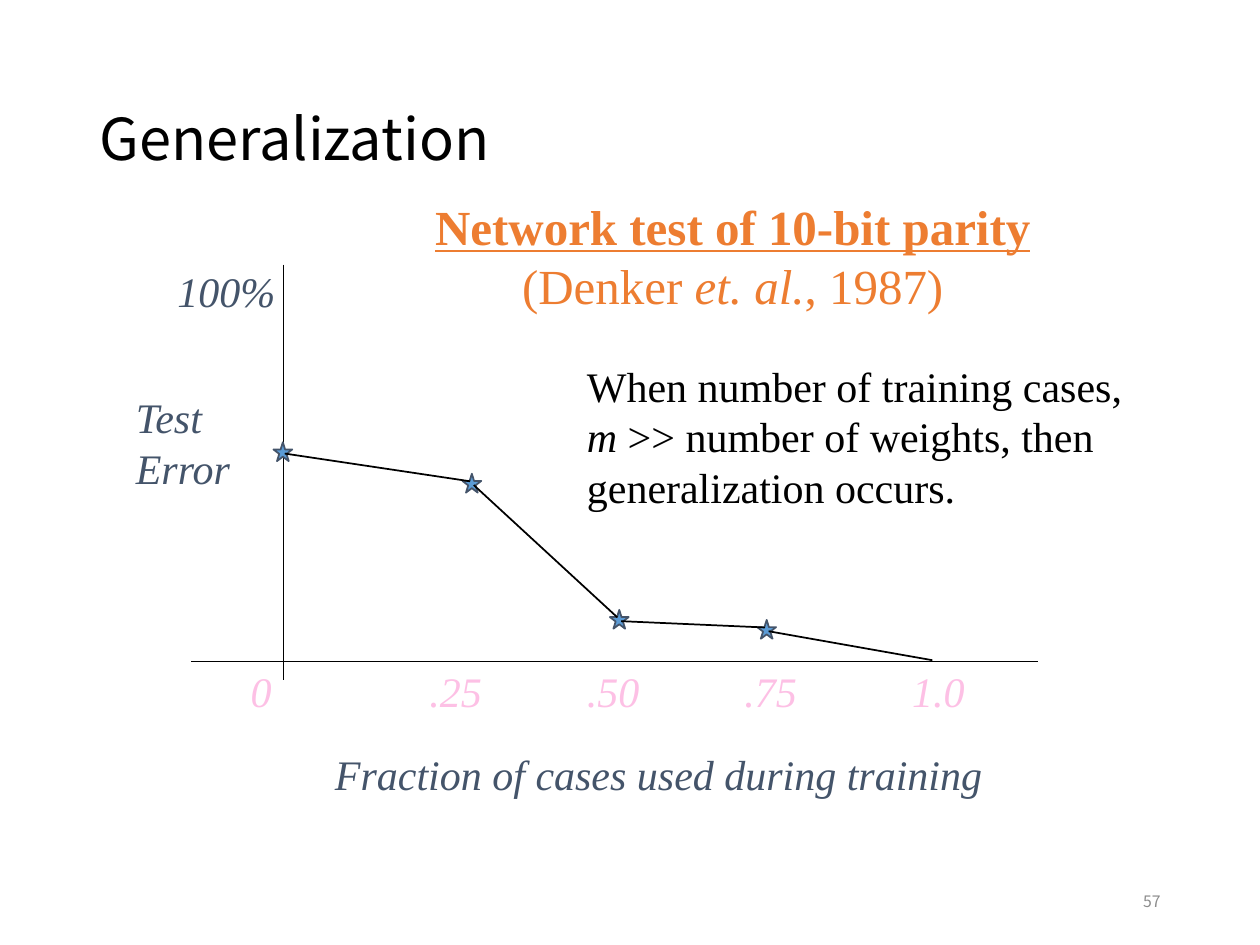
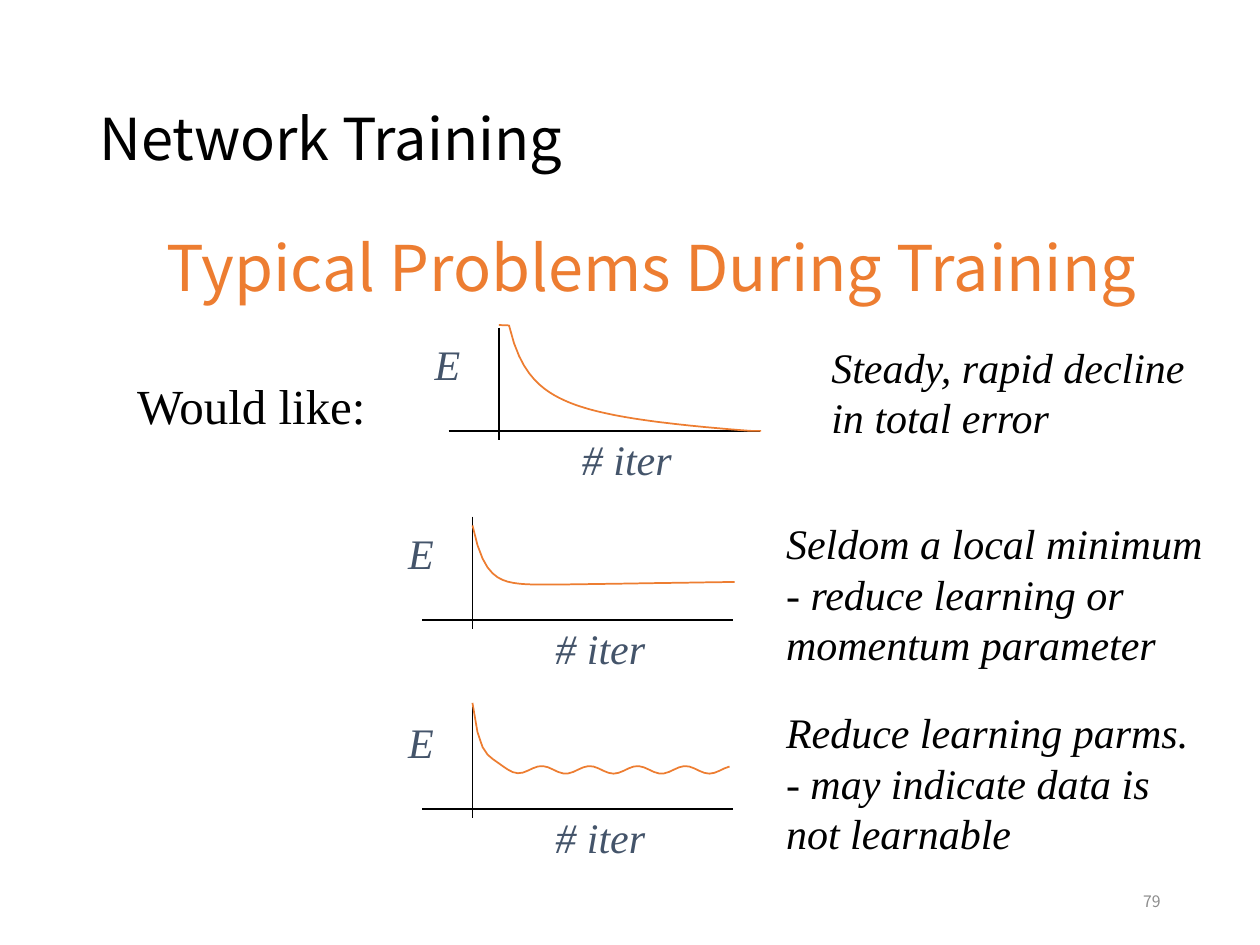
import math

import pptx
import pptx.dml.color
import pptx.enum.shapes
import pptx.enum.text
import pptx.oxml.ns
import pptx.util
from lxml import etree

Inches, Pt = pptx.util.Inches, pptx.util.Pt
RGB = pptx.dml.color.RGBColor.from_string
ALIGN = pptx.enum.text.PP_ALIGN
ANCHOR = pptx.enum.text.MSO_ANCHOR

COLORS = {"black": "000000", "slate": "44546A", "orange": "ED7D31",
          "pink": "FDC0E5", "blue": "5B9BD5", "gray": "8C8C8C"}
SANS, SERIF = "Noto Sans CJK KR", "Times New Roman"
LINE_WIDTH = Pt(1)
ROW_HEIGHT = 0.51  # a text box with one line at 24 points


def add_text(slide, box, paragraphs, color="black", size=24, font=SERIF, style="",
             align=ALIGN.LEFT, anchor=ANCHOR.TOP, wrap=False, spacing=1.0, before=0):
    """Each paragraph is a string or a list of (text, style); style letters are b, i, u."""
    frame = slide.shapes.add_textbox(*map(Inches, box)).text_frame
    frame.word_wrap = wrap
    frame.vertical_anchor = anchor
    for index, content in enumerate(paragraphs):
        paragraph = frame.add_paragraph() if index else frame.paragraphs[0]
        paragraph.alignment = align
        paragraph.line_spacing = spacing
        paragraph.space_before = Pt(before)
        runs = [(content, style)] if isinstance(content, str) else content
        for text, letters in runs:
            run = paragraph.add_run()
            run.text = text
            run.font.name, run.font.size = font, Pt(size)
            run.font.color.rgb = RGB(COLORS[color])
            run.font.bold = "b" in letters
            run.font.italic = "i" in letters
            run.font.underline = "u" in letters


def add_line(slide, start, end):
    line = slide.shapes.add_connector(pptx.enum.shapes.MSO_CONNECTOR.STRAIGHT,
                                      *map(Inches, (*start, *end)))
    line.line.color.rgb = RGB(COLORS["black"])
    line.line.width = LINE_WIDTH
    etree.SubElement(line._element.spPr, pptx.oxml.ns.qn("a:effectLst"))


prs = pptx.Presentation()
prs.slide_width, prs.slide_height = Inches(10), Inches(7.5)

# Title and page number on every slide
slides = []
for title, number in [("Generalization", "57"), ("Network Training", "79")]:
    slide = prs.slides.add_slide(prs.slide_layouts[6])
    add_text(slide, (0.69, 0.4, 8.62, 1.45), [title], size=33, font=SANS,
             anchor=ANCHOR.MIDDLE, wrap=True, spacing=0.9)
    add_text(slide, (7.06, 6.95, 2.25, 0.4), [number], "gray", 9, SANS,
             align=ALIGN.RIGHT, anchor=ANCHOR.MIDDLE, wrap=True)
    slides.append(slide)
generalization, training = slides

# Generalization: axes and their labels
axis_x, axis_y = 2.25, 5.25
add_line(generalization, (axis_x, 2.1), (axis_x, 5.4))
add_line(generalization, (1.52, axis_y), (8.24, axis_y))
for box, label in [
    ((2.56, 5.89, 5.35, ROW_HEIGHT), ["Fraction of cases used during training"]),
    ((0.98, 3.06, 0.97, 0.91), ["Test", "Error"]),
    ((1.31, 2.06, 0.99, ROW_HEIGHT), ["100%"]),
]:
    add_text(generalization, box, label, "slate", style="i")
for left, width, tick in [(1.89, 0.38, "0"), (3.31, 0.63, ".25"), (4.56, 0.63, ".50"),
                          (5.81, 0.63, ".75"), (7.14, 0.63, "1.0")]:
    add_text(generalization, (left, axis_y - 0.02, width, ROW_HEIGHT), [tick],
             "pink", style="i")

# Generalization: a star per measured error (left, top); the last point has no star
star_size = 0.15
leave, arrive = 0.09, 0.06  # where segments start and end inside a star
measured = [(2.17, 3.51), (3.67, 3.76), (4.84, 4.84), (6.01, 4.92), (7.34, 5.18)]
for left, top in measured[:-1]:
    star = generalization.shapes.add_shape(
        pptx.enum.shapes.MSO_SHAPE.STAR_5_POINT,
        *map(Inches, (left, top, star_size, star_size)))
    star.shadow.inherit = False
    star.fill.solid()
    star.fill.fore_color.rgb = RGB(COLORS["blue"])
    star.line.color.rgb = RGB(COLORS["slate"])
    star.line.width = LINE_WIDTH
for (x1, y1), (x2, y2) in zip(measured, measured[1:]):
    add_line(generalization, (x1 + leave, y1 + leave), (x2 + arrive, y2 + arrive))

# Generalization: heading and conclusion
add_text(generalization, (3.34, 1.51, 4.95, 1.05),
         [[("Network test of 10-bit parity", "bu")],
          [("(Denker ", ""), ("et. al.", "i"), (", 1987)", "")]],
         "orange", 28, align=ALIGN.CENTER)
add_text(generalization, (4.56, 2.81, 4.46, 1.31),
         ["When number of training cases,",
          [("m", "i"), (" >> number of weights, then", "")],
          "generalization occurs."])

# Network Training: headings
add_text(training, (0.92, 1.83, 8.5, 0.83), ["Typical Problems During Training"],
         "orange", 36, SANS, align=ALIGN.CENTER, wrap=True, spacing=0.9, before=7.5)
add_text(training, (0.99, 2.93, 2.06, 0.58), ["Would like:"], size=28)

# Network Training: a plot and a remark per row.
# Each error rule gives the height of the curve above the axis, t inches along it.
first_axis_y, row_gap = 3.42, 1.5
curve_step = 0.04
error_plots = [
    # brief hold, then a hyperbolic fall that reaches zero
    (3.96, 2.08, lambda t: 0.84 / (1 + max(0, t - 0.08) / 0.2) - 0.04 * t,
     (6.5, 2.66, 3.03, 0.91), ["Steady, rapid decline", "in total error"]),
    # exponential fall to a plateau that creeps up
    (3.75, 2.08, lambda t: 0.27 + 0.48 * math.exp(-t / 0.1) + 0.015 * t,
     (6.14, 4.06, 3.69, 1.31),
     ["Seldom a local minimum - reduce learning or momentum parameter"]),
    # exponential fall to a plateau with ripples
    (3.75, 2.04, lambda t: (0.31 + 0.56 * math.exp(-t / 0.07)
                            + 0.03 * math.cos(math.tau * (t - 0.55) / 0.38)),
     (6.14, 5.56, 3.53, 1.31),
     ["Reduce learning parms.", "- may indicate data is not learnable"]),
]
for row, (x, curve_width, error_at, remark_box, remark) in enumerate(error_plots):
    y = first_axis_y + row * row_gap
    add_line(training, (x, y - 0.82), (x, y + 0.07))
    add_line(training, (x - 0.4, y), (x + 2.07, y))
    add_text(training, (x - 0.61, y - 0.78, 0.41, ROW_HEIGHT), ["E"], "slate", style="i")
    add_text(training, (x + 0.56, y - 0.03, 0.92, ROW_HEIGHT), ["# iter"], "slate",
             style="i")

    distances = [step * curve_step for step in range(round(curve_width / curve_step) + 1)]
    points = [(Inches(x + t), Inches(y - max(0, error_at(t)))) for t in distances]
    builder = training.shapes.build_freeform(*points[0])
    builder.add_line_segments(points[1:], close=False)
    error_curve = builder.convert_to_shape()
    error_curve.shadow.inherit = False
    error_curve.fill.background()
    error_curve.line.color.rgb = RGB(COLORS["orange"])
    error_curve.line.width = LINE_WIDTH

    add_text(training, remark_box, remark, style="i", wrap=True)

prs.save("out.pptx")
